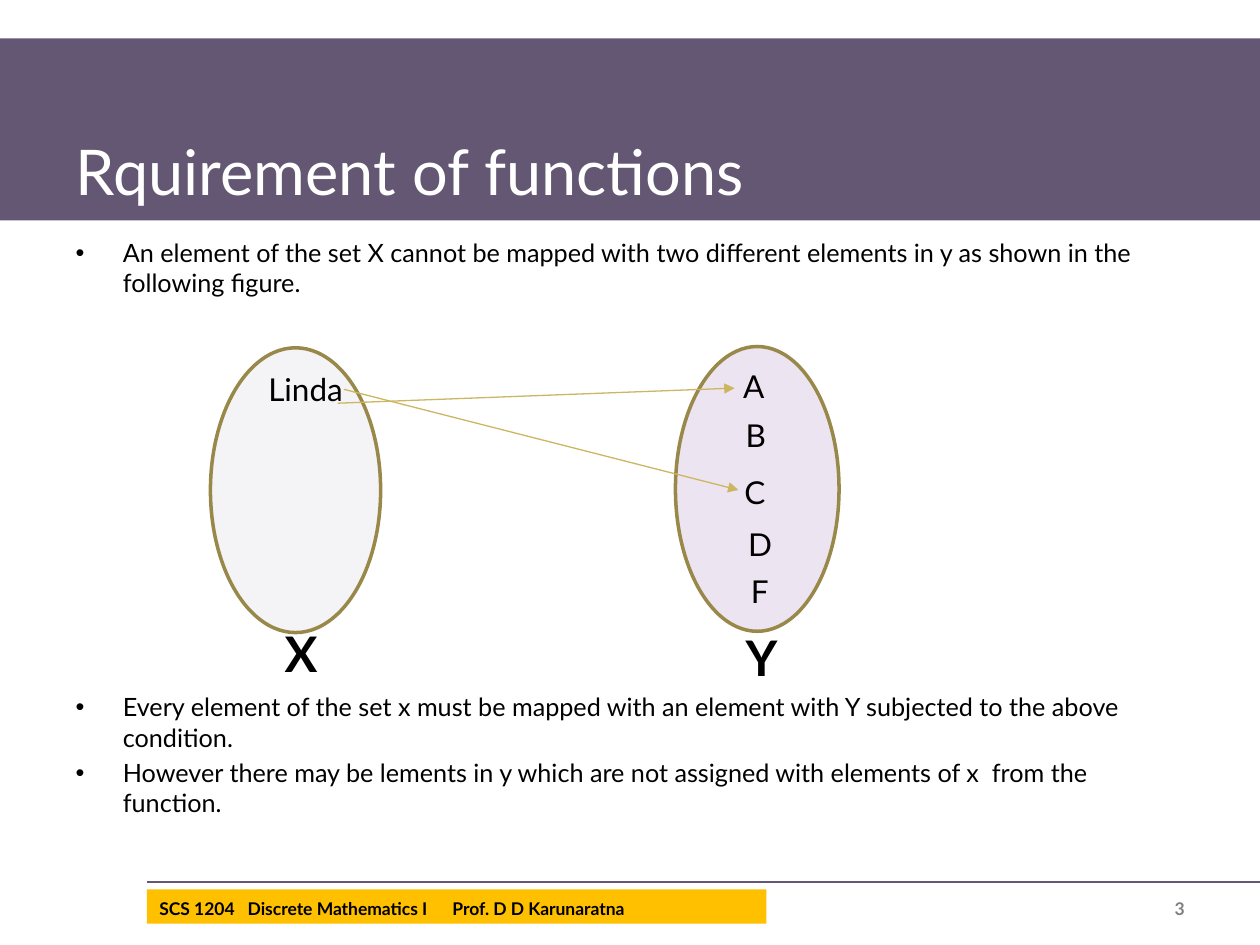
from typing import NamedTuple

from lxml.etree import SubElement as Sub
from pptx import Presentation
from pptx.dml.color import RGBColor as RGB
from pptx.enum.shapes import MSO_CONNECTOR as Conn, MSO_SHAPE as Shape
from pptx.enum.text import MSO_ANCHOR as Anchor, MSO_AUTO_SIZE as Fit, PP_ALIGN as Align
from pptx.oxml.ns import qn
from pptx.util import Pt

FONT = "Lato"
BLACK = RGB(0x00, 0x00, 0x00)
WHITE = RGB(0xFF, 0xFF, 0xFF)
GREY = RGB(0x80, 0x80, 0x80)
PLUM = RGB(0x64, 0x57, 0x73)
AMBER = RGB(0xFF, 0xC0, 0x00)
OLIVE = RGB(0x98, 0x89, 0x4B)
GOLD = RGB(0xCC, 0xB6, 0x61)
LILAC = RGB(0xED, 0xE4, 0xF1)
PALE = RGB(0xF4, 0xF3, 0xF6)


class Box(NamedTuple):
    left: float
    top: float
    width: float
    height: float


class Oval(NamedTuple):
    box: Box
    fill: RGB


class Label(NamedTuple):
    text: str
    box: Box
    size: float = 18
    bold: bool = False
    wrap: bool = False


class Line(NamedTuple):
    start: tuple[float, float]
    end: tuple[float, float]
    color: RGB = GOLD
    width: float = 0.75
    arrow: bool = True


class Item(NamedTuple):
    text: str
    gap: float


OVALS = [
    Oval(Box(386, 198, 93.5, 162.75), LILAC),
    Oval(Box(120.25, 198.75, 97.25, 162.75), PALE),
]
LABELS = [
    Label("Linda", Box(146.2, 208, 59, 29)),
    Label("A", Box(417.6, 206, 27, 29)),
    Label("B", Box(419, 234, 27, 29)),
    Label("C", Box(418.3, 267, 27, 29)),
    Label("D", Box(420.5, 296.5, 28, 29)),
    Label("F", Box(422, 323.3, 25, 29)),
    Label("X", Box(155.5, 353, 45.5, 41), 28, True, True),
    Label("Y", Box(419, 355, 47.5, 41), 28, True, True),
]
ARROWS = [
    Line((196.6, 222.5), (422, 280)),
    Line((193, 230.4), (419.8, 221.8)),
]
# The gap before the second item leaves room for the diagram
ITEMS = [
    Item("An element of the set X cannot be mapped with two different "
         "elements in y as shown in the following figure.", 0),
    Item("Every element of the set x must be mapped with an element with Y "
         "subjected to the above condition.", 225),
    Item("However there may be lements in y which are not assigned with "
         "elements of x  from the function.", 3),
]


def place(shape, box: Box) -> None:
    shape.left, shape.top, shape.width, shape.height = map(Pt, box)


def write(para, text: str, *, size: float, color: RGB = BLACK,
          bold: bool = False, align: Align = Align.LEFT) -> None:
    para.text = text
    para.alignment = align
    font = para.font
    font.name, font.size, font.bold = FONT, Pt(size), bold
    font.color.rgb = color


def add_text(slide, text: str, box: Box, *, wrap: bool = True,
             anchor: Anchor = Anchor.TOP, tabs: tuple = (), **style) -> None:
    frame = slide.shapes.add_textbox(*map(Pt, box)).text_frame
    frame.word_wrap = wrap
    frame.vertical_anchor = anchor
    para = frame.paragraphs[0]
    if tabs:
        stops = Sub(para._p.get_or_add_pPr(), qn("a:tabLst"))
        for pos in tabs:
            Sub(stops, qn("a:tab"), pos=str(Pt(pos)), algn="l")
    write(para, text, **style)


def add_form(slide, kind: Shape, box: Box, fill: RGB, line: RGB | None = None) -> None:
    form = slide.shapes.add_shape(kind, *map(Pt, box))
    form.shadow.inherit = False
    form.fill.solid()
    form.fill.fore_color.rgb = fill
    if line is None:
        form.line.fill.background()
    else:
        form.line.color.rgb = line
        form.line.width = Pt(2)


def add_line(slide, line: Line) -> None:
    link = slide.shapes.add_connector(
        Conn.STRAIGHT, *map(Pt, line.start + line.end))
    link.line.color.rgb = line.color
    link.line.width = Pt(line.width)
    props = link._element.spPr
    if line.arrow:
        Sub(props.find(qn("a:ln")), qn("a:tailEnd"), type="triangle")
    Sub(props, qn("a:effectLst"))


def fill_title(title) -> None:
    place(title, Box(36, 24, 648, 98.5))
    frame = title.text_frame
    frame.auto_size = Fit.NONE
    frame.vertical_anchor = Anchor.BOTTOM
    write(frame.paragraphs[0], "Rquirement of functions", size=36, color=WHITE)


def fill_body(body) -> None:
    place(body, Box(36, 132, 648, 350.5))
    frame = body.text_frame
    frame.auto_size = Fit.NONE
    for i, item in enumerate(ITEMS):
        para = frame.add_paragraph() if i else frame.paragraphs[0]
        props = para._p.get_or_add_pPr()
        props.set("marL", str(Pt(27)))
        props.set("indent", str(Pt(-27)))
        para.space_before = Pt(item.gap)
        Sub(props, qn("a:buChar"), char="•")
        write(para, item.text, size=14.4)


def main() -> None:
    deck = Presentation()
    deck.slide_width, deck.slide_height = Pt(720), Pt(540)
    slide = deck.slides.add_slide(deck.slide_layouts[1])
    title, body = slide.placeholders

    # Bands and footer rule
    add_form(slide, Shape.RECTANGLE, Box(84, 508.3, 354, 19.5), AMBER)
    add_form(slide, Shape.RECTANGLE, Box(0, 22, 720, 104), PLUM)
    add_line(slide, Line((84, 504), (720, 504), PLUM, 1, False))

    # Title and list, raised above the bands
    for holder in (title, body):
        slide.shapes._spTree.append(holder._element)
    fill_title(title)
    fill_body(body)

    # Footer
    add_text(slide, "SCS 1204\tDiscrete Mathematics I\tProf. D D Karunaratna",
             Box(84, 504, 354, 25), anchor=Anchor.BOTTOM, tabs=(50.5, 167.5),
             size=10, bold=True)
    add_text(slide, "3", Box(624, 504, 60, 25), anchor=Anchor.BOTTOM,
             size=10, bold=True, color=GREY, align=Align.RIGHT)

    # Mapping diagram
    for oval in OVALS:
        add_form(slide, Shape.OVAL, oval.box, oval.fill, OLIVE)
    for label in LABELS:
        add_text(slide, label.text, label.box, wrap=label.wrap,
                 size=label.size, bold=label.bold)
    for arrow in ARROWS:
        add_line(slide, arrow)

    deck.save("out.pptx")


if __name__ == "__main__":
    main()
